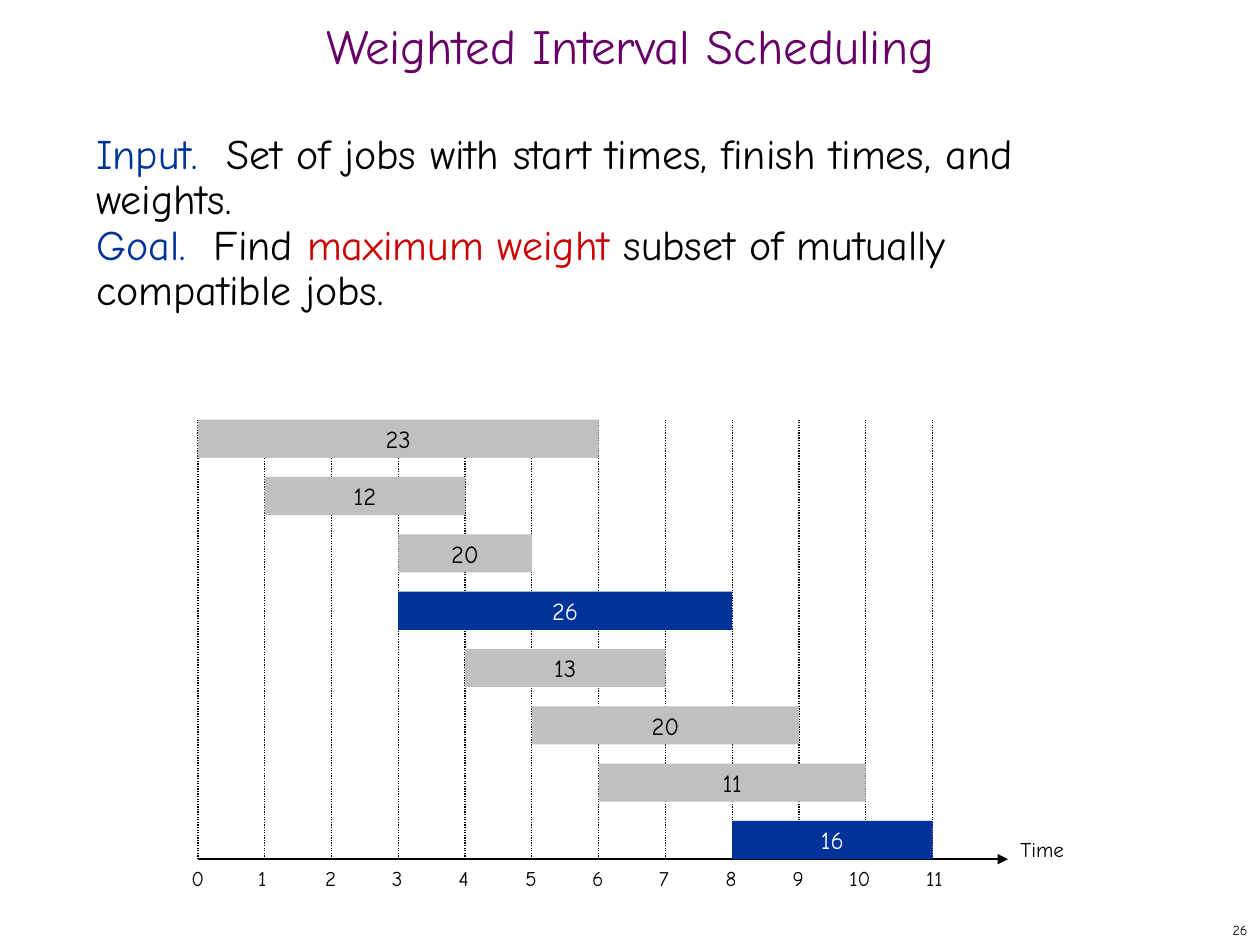
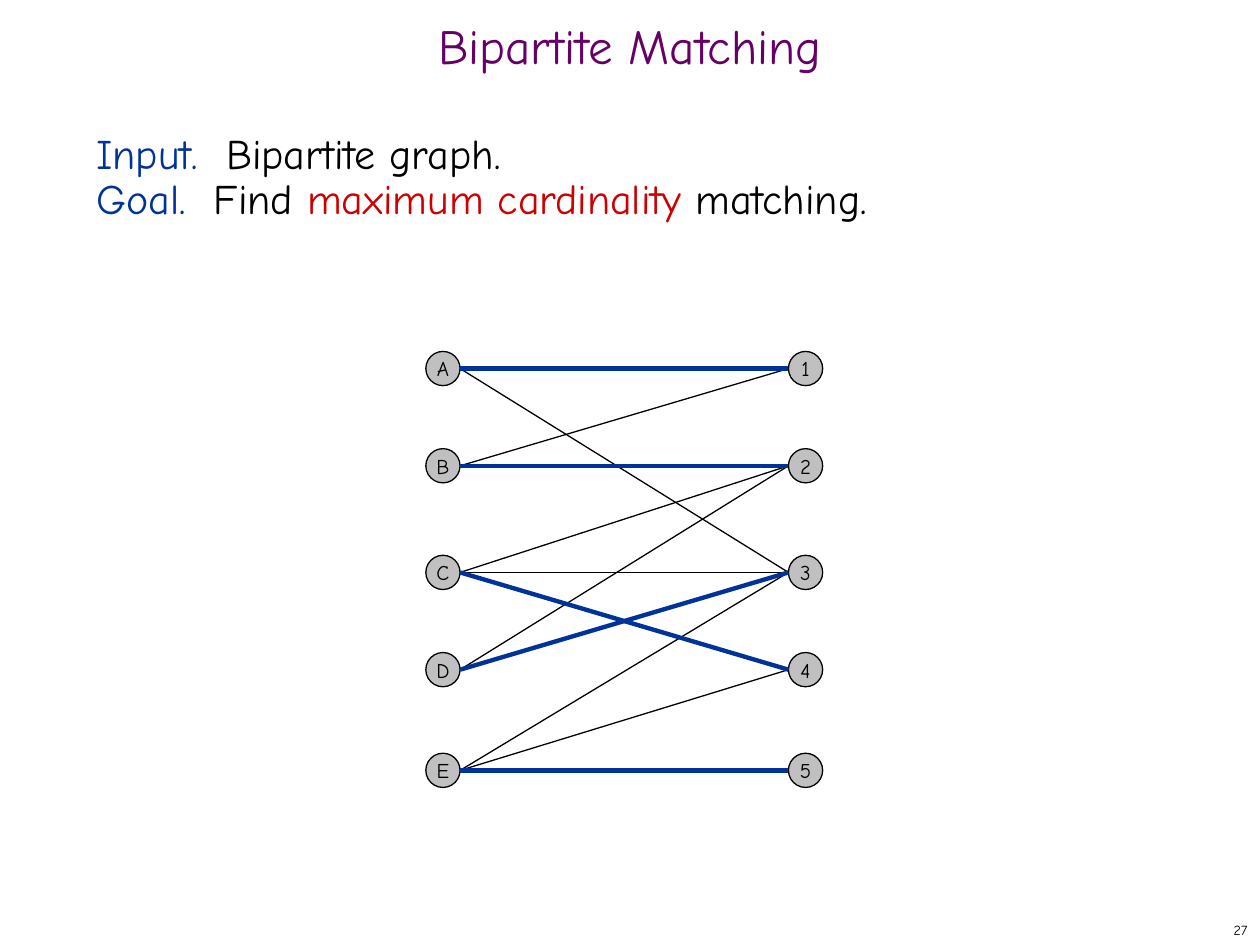
import pptx
import pptx.dml.color
import pptx.enum.dml
import pptx.enum.shapes
import pptx.enum.text
import pptx.oxml
import pptx.oxml.ns
import pptx.util
from pptx.util import Cm

FONT = "Comic Neue"
COLORS = {
    "title": "660066",
    "lead": "003399",
    "text": "000000",
    "key": "CC0000",
    "plain": "C0C0C0",
    "chosen": "003399",
    "inverse": "FFFFFF",
}
ALIGN = pptx.enum.text.PP_ALIGN
MIDDLE = pptx.enum.text.MSO_ANCHOR.MIDDLE
SHAPE = pptx.enum.shapes.MSO_SHAPE

SCHEDULING = {
    "title": "Weighted Interval Scheduling",
    "number": 26,
    "body": [
        [("Input.  ", "lead"),
         ("Set of jobs with start times, finish times, and weights.", "text")],
        [("Goal.  ", "lead"), ("Find ", "text"), ("maximum weight", "key"),
         (" subset of mutually compatible jobs.", "text")],
    ],
}
# start, finish, weight
JOBS = [(0, 6, 23), (1, 4, 12), (3, 5, 20), (3, 8, 26),
        (4, 7, 13), (5, 9, 20), (6, 10, 11), (8, 11, 16)]
CHOSEN_JOBS = [(3, 8, 26), (8, 11, 16)]
LAST_TIME = 11

MATCHING = {
    "title": "Bipartite Matching",
    "number": 27,
    "body": [
        [("Input.  ", "lead"), ("Bipartite graph.", "text")],
        [("Goal.  ", "lead"), ("Find ", "text"), ("maximum cardinality", "key"),
         (" matching.", "text")],
    ],
}
NODE_ROWS = [("A", "1", 7.43), ("B", "2", 9.39), ("C", "3", 11.54),
             ("D", "4", 13.5), ("E", "5", 15.53)]
EDGES = ["A3", "B1", "C2", "C3", "D2", "E3", "E4"]
MATCHED_EDGES = ["A1", "B2", "C4", "D3", "E5"]

# Lengths below are in centimetres
AXIS_LEFT, GRID_RIGHT, AXIS_RIGHT = 3.99, 18.8, 20.32
CHART_TOP, AXIS_Y = 8.46, 17.32
BAR_HEIGHT = 0.77
LEFT_NODE_X, RIGHT_NODE_X, NODE_SIZE = 8.93, 16.24, 0.69


def rgb(name):
    return pptx.dml.color.RGBColor.from_string(COLORS[name])


def style_paragraph(para, size, color="text", align=ALIGN.LEFT):
    para.alignment = align
    para.font.name = FONT
    para.font.size = pptx.util.Pt(size)
    para.font.color.rgb = rgb(color)


def add_text(page, text, left, top, width, height, size, **style):
    box = page.shapes.add_textbox(Cm(left), Cm(top), Cm(width), Cm(height))
    frame = box.text_frame
    frame.word_wrap = True
    frame.vertical_anchor = MIDDLE
    para = frame.paragraphs[0]
    para.text = text
    style_paragraph(para, size, **style)
    return para


def add_labelled_shape(page, kind, text, left, top, width, height, size,
                       fill="plain", color="text", outlined=False):
    shape = page.shapes.add_shape(kind, Cm(left), Cm(top), Cm(width), Cm(height))
    shape.shadow.inherit = False
    shape.fill.solid()
    shape.fill.fore_color.rgb = rgb(fill)
    if outlined:
        shape.line.color.rgb = rgb("text")
        shape.line.width = pptx.util.Pt(0.75)
    else:
        shape.line.fill.background()
    frame = shape.text_frame
    frame.word_wrap = False
    frame.vertical_anchor = MIDDLE
    frame.paragraphs[0].text = text
    style_paragraph(frame.paragraphs[0], size, color, ALIGN.CENTER)


def add_line(page, x1, y1, x2, y2, width=0.75, color="text"):
    line = page.shapes.add_connector(
        pptx.enum.shapes.MSO_CONNECTOR.STRAIGHT, Cm(x1), Cm(y1), Cm(x2), Cm(y2))
    line.line.color.rgb = rgb(color)
    line.line.width = pptx.util.Pt(width)
    properties = line.line._get_or_add_ln().getparent()
    properties.append(pptx.oxml.parse_xml(
        f"<a:effectLst {pptx.oxml.ns.nsdecls('a')}/>"))
    return line


def add_page(deck, content):
    """Add a page with the shared title, body text and page number."""
    page = deck.slides.add_slide(deck.slide_layouts[6])
    title = add_text(page, content["title"], 0, 0.42, 25.4, 1.27, 28,
                     color="title", align=ALIGN.CENTER)
    title.line_spacing = 0.7
    add_text(page, str(content["number"]), 20.12, 18.42, 5.28, 0.64, 8,
             align=ALIGN.RIGHT)

    box = page.shapes.add_textbox(Cm(1.69), Cm(2.54), Cm(21.8), Cm(15.03))
    frame = box.text_frame
    frame.word_wrap = True
    for index, spans in enumerate(content["body"]):
        para = frame.add_paragraph() if index else frame.paragraphs[0]
        style_paragraph(para, 24)
        para.line_spacing = pptx.util.Pt(26)
        for text, color in spans:
            span = para.add_run()
            span.text = text
            span.font.color.rgb = rgb(color)
    return page


def draw_schedule(page):
    hour = (GRID_RIGHT - AXIS_LEFT) / LAST_TIME
    row_step = (AXIS_Y - BAR_HEIGHT - CHART_TOP) / (len(JOBS) - 1)

    axis = add_line(page, AXIS_LEFT, AXIS_Y, AXIS_RIGHT, AXIS_Y, width=1)
    axis.line._get_or_add_ln().append(pptx.oxml.parse_xml(
        f"<a:tailEnd {pptx.oxml.ns.nsdecls('a')} type='triangle'/>"))
    add_text(page, "Time", AXIS_RIGHT, 16.74, 2.12, 0.77, 12)

    for time in range(LAST_TIME + 1):
        x = AXIS_LEFT + time * hour
        grid_line = add_line(page, x, AXIS_Y, x, CHART_TOP)
        grid_line.line.dash_style = pptx.enum.dml.MSO_LINE.ROUND_DOT
        label_shift = 0.58 if time == 10 else 0.38
        add_text(page, str(time), x - label_shift, AXIS_Y, 1.16, 0.77, 12)

    for row, job in enumerate(JOBS):
        start, finish, weight = job
        chosen = job in CHOSEN_JOBS
        add_labelled_shape(
            page, SHAPE.RECTANGLE, str(weight),
            AXIS_LEFT + start * hour, CHART_TOP + row * row_step,
            (finish - start) * hour, BAR_HEIGHT, 14,
            fill="chosen" if chosen else "plain",
            color="inverse" if chosen else "text")


def draw_graph(page):
    radius = NODE_SIZE / 2
    heights = {}
    for left_name, right_name, y in NODE_ROWS:
        for name, x in ((left_name, LEFT_NODE_X), (right_name, RIGHT_NODE_X)):
            heights[name] = y
            add_labelled_shape(page, SHAPE.OVAL, name, x - radius, y - radius,
                               NODE_SIZE, NODE_SIZE, 12, outlined=True)
    for edges, width, color in ((EDGES, 0.75, "text"),
                                (MATCHED_EDGES, 2.5, "chosen")):
        for start, end in edges:
            add_line(page, LEFT_NODE_X + radius, heights[start],
                     RIGHT_NODE_X - radius, heights[end], width, color)


def main():
    deck = pptx.Presentation()
    deck.slide_width, deck.slide_height = Cm(25.4), Cm(19.05)
    draw_schedule(add_page(deck, SCHEDULING))
    draw_graph(add_page(deck, MATCHING))
    deck.save("out.pptx")


if __name__ == "__main__":
    main()
